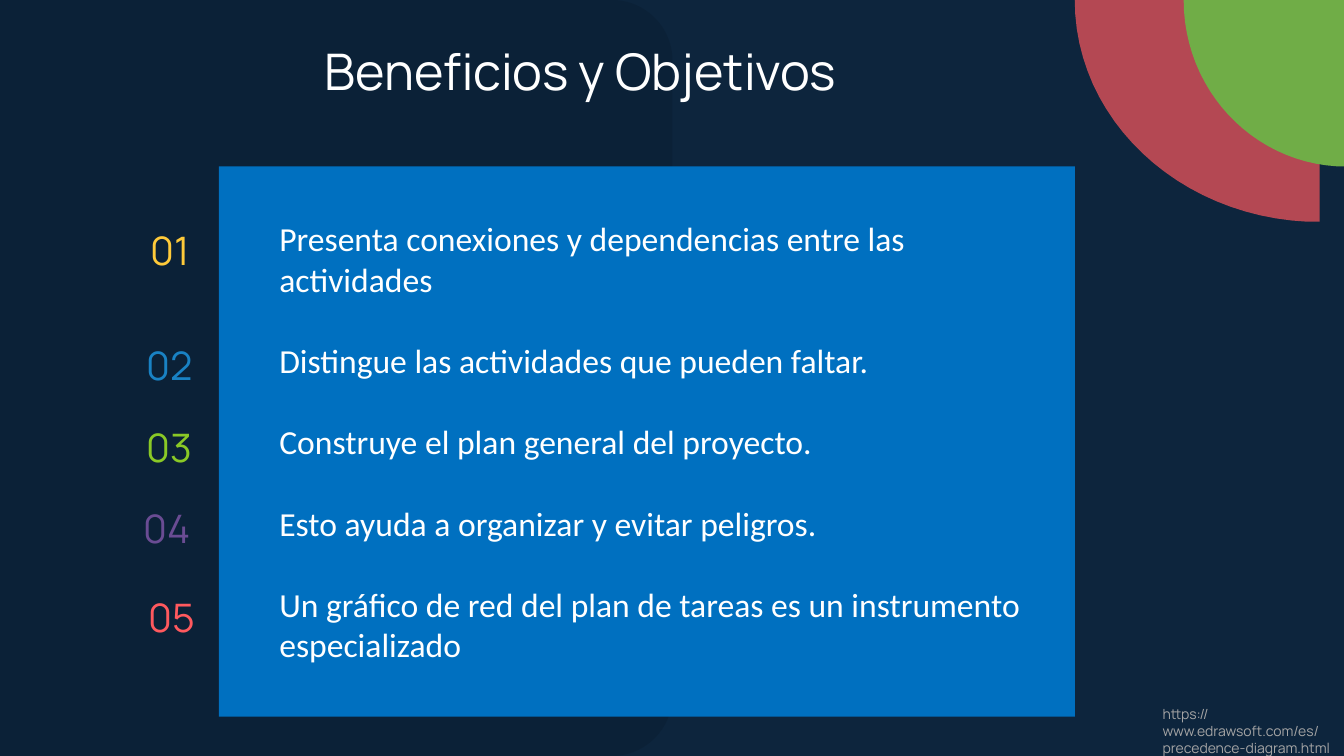
from dataclasses import dataclass

from lxml import etree
from pptx import Presentation
from pptx.dml.color import RGBColor
from pptx.enum.shapes import MSO_SHAPE
from pptx.enum.text import MSO_ANCHOR, PP_ALIGN
from pptx.oxml.ns import qn
from pptx.util import Pt

PX = 9144  # EMU per px, 100 px to the inch
STEPS = 24

RECT = MSO_SHAPE.RECTANGLE
MIDDLE = MSO_ANCHOR.MIDDLE
TOP = MSO_ANCHOR.TOP
LEFT = PP_ALIGN.LEFT

NAVY = RGBColor(0x0D, 0x25, 0x3D)
BLACK = RGBColor(0x00, 0x00, 0x00)
WHITE = RGBColor(0xFF, 0xFF, 0xFF)
GRAY = RGBColor(0xA5, 0xA5, 0xA5)
RED = RGBColor(0xFF, 0x59, 0x5E)
GREEN = RGBColor(0x70, 0xAD, 0x47)
BLUE = RGBColor(0x00, 0x70, 0xC0)
YELLOW = RGBColor(0xFF, 0xCA, 0x3A)
SKY = RGBColor(0x19, 0x82, 0xC4)
LIME = RGBColor(0x8A, 0xC9, 0x26)
PURPLE = RGBColor(0x6A, 0x4C, 0x93)

Point = tuple[float, float]


@dataclass
class Blob:
    """Outline whose steps hold one point (line) or three (Bezier curve)."""
    start: Point
    steps: list[tuple[Point, ...]]
    color: RGBColor
    alpha: int = 100


@dataclass
class Label:
    text: str
    box: tuple[int, int, int, int]
    size: int
    color: RGBColor
    inset: int = 5


PANEL = Blob((0, 0), [
    ((607, 0),), ((640, 0), (667, 27), (667, 60)),
    ((667, 690),), ((667, 723), (640, 750), (607, 750)),
    ((0, 750),),
], BLACK, 9)
RING = Blob((1066, 0), [
    ((1309, 0),), ((1309, 220),), ((1297, 220),),
    ((1168, 214), (1066, 118), (1066, 0)),
], RED, 69)
DISC = Blob((1174, 0), [
    ((1334, 0),), ((1334, 165),), ((1326, 165),),
    ((1241, 160), (1174, 88), (1174, 0)),
], GREEN)

TITLE = Label("Beneficios y Objetivos", (322, 35, 689, 101), 36, WHITE)
SOURCE = Label("https://www.edrawsoft.com/es/precedence-diagram.html",
               (1153, 700, 185, 50), 10, GRAY, 0)
NUMBERS = [
    Label(f"{n:02}", (x, y, 72, 57), 28, color)
    for n, (x, y, color) in enumerate([
        (149, 220, YELLOW), (145, 334, SKY), (145, 415, LIME),
        (142, 495, PURPLE), (147, 584, RED),
    ], 1)
]
GOALS = [
    "Presenta conexiones y dependencias entre las actividades",
    "Distingue las actividades que pueden faltar.",
    "Construye el plan general del proyecto.",
    "Esto ayuda a organizar y evitar peligros.",
    "Un gráfico de red del plan de tareas es un instrumento especializado",
]


def curve(a: Point, b: Point, c: Point, d: Point) -> list[Point]:
    """Sample a cubic Bezier from a to d, leaving out a."""
    points = []
    for i in range(1, STEPS + 1):
        t = i / STEPS
        u = 1 - t
        weights = (u ** 3, 3 * u * u * t, 3 * u * t * t, t ** 3)
        points.append(tuple(sum(w * p[k] for w, p in zip(weights, (a, b, c, d)))
                            for k in (0, 1)))
    return points


def paint(shape, color: RGBColor, alpha: int = 100) -> None:
    shape.shadow.inherit = False
    shape.fill.solid()
    shape.fill.fore_color.rgb = color
    shape.line.fill.background()
    if alpha < 100:
        tint = shape.fill._xPr.find(qn("a:solidFill"))[0]
        etree.SubElement(tint, qn("a:alpha"), val=str(alpha * 1000))


def draw_blob(shapes, blob: Blob) -> None:
    points = [blob.start]
    for step in blob.steps:
        points += curve(points[-1], *step) if len(step) == 3 else step
    scaled = [(round(x * PX), round(y * PX)) for x, y in points]
    pen = shapes.build_freeform(*scaled[0], scale=1)
    pen.add_line_segments(scaled[1:], close=True)
    paint(pen.convert_to_shape(), blob.color, blob.alpha)


def set_frame(frame, side: int, edge: int, anchor: MSO_ANCHOR) -> None:
    form = {
        "word_wrap": True, "vertical_anchor": anchor,
        "margin_left": side * PX, "margin_right": edge * PX,
    }
    for key, value in form.items():
        setattr(frame, key, value)


def set_font(para, name: str, size: int, color: RGBColor) -> None:
    para.alignment = LEFT
    for key, value in {"name": name, "size": Pt(size)}.items():
        setattr(para.font, key, value)
    para.font.color.rgb = color


def draw_label(shapes, label: Label) -> None:
    frame = shapes.add_textbox(*(v * PX for v in label.box)).text_frame
    set_frame(frame, 0, 0, TOP)
    frame.margin_top = frame.margin_bottom = label.inset * PX
    frame.text = label.text
    set_font(frame.paragraphs[0], "Manrope", label.size, label.color)


def draw_card(shapes) -> None:
    card = shapes.add_shape(RECT, *(v * PX for v in (217, 165, 849, 546)))
    paint(card, BLUE)
    frame = card.text_frame
    set_frame(frame, 60, 10, MIDDLE)
    frame.text = "\n".join(GOALS)
    for i, para in enumerate(frame.paragraphs):
        set_font(para, "Calibri", 24, WHITE)
        if i:
            para.space_before = Pt(29.3)


def main() -> None:
    deck = Presentation()
    deck.slide_width, deck.slide_height = 1333 * PX, 750 * PX
    slide = deck.slides.add_slide(deck.slide_layouts[6])
    slide.background.fill.solid()
    slide.background.fill.fore_color.rgb = NAVY
    shapes = slide.shapes
    for blob in (PANEL, RING, DISC):
        draw_blob(shapes, blob)
    draw_card(shapes)
    for label in (TITLE, SOURCE, *NUMBERS):
        draw_label(shapes, label)
    deck.save("out.pptx")


if __name__ == "__main__":
    main()
